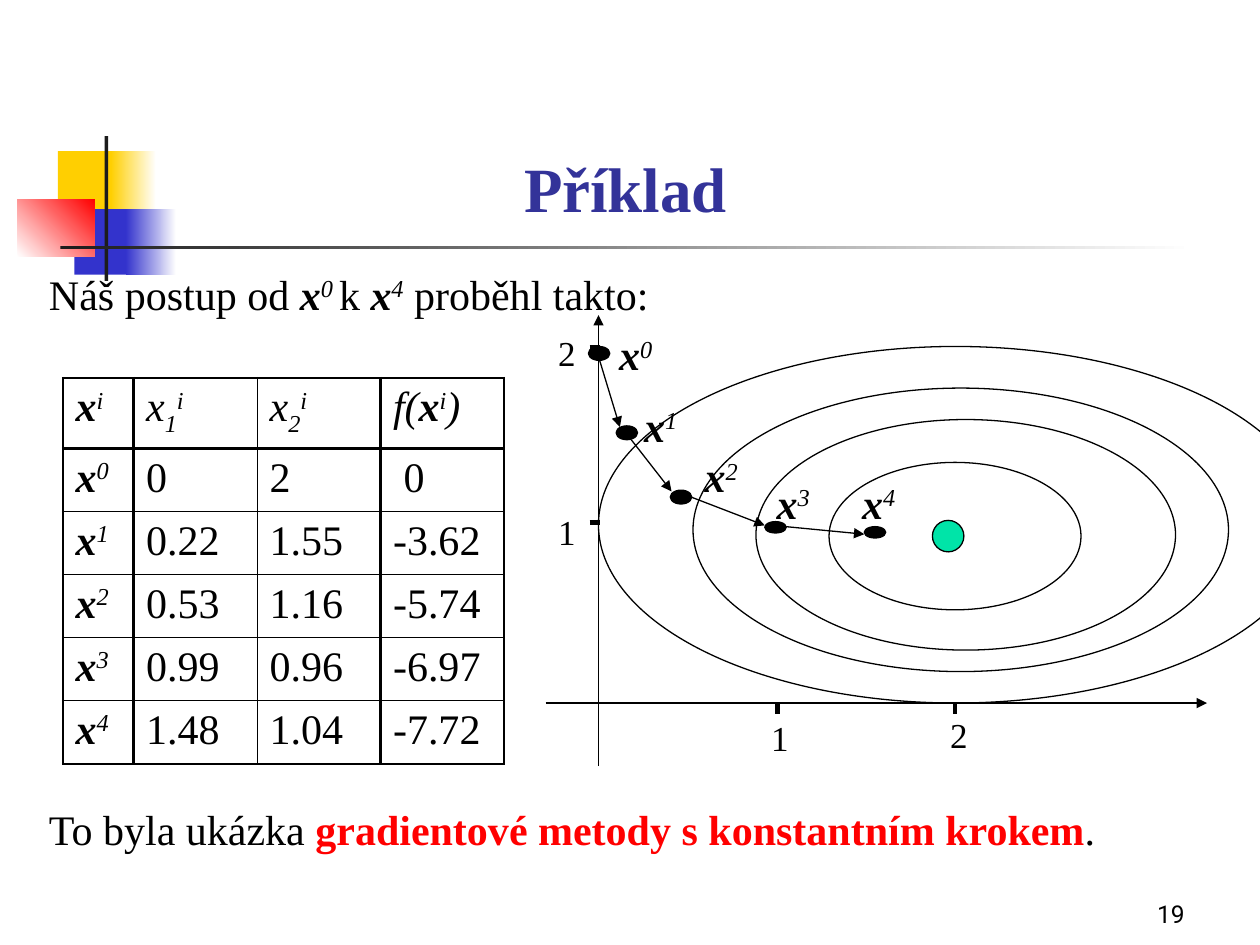
from dataclasses import dataclass

from lxml import etree
from pptx import Presentation
from pptx import util as u
from pptx.dml.color import RGBColor
from pptx.enum import shapes, text
from pptx.oxml import ns


@dataclass(frozen=True)
class Theme:
    """Colours, fonts, type sizes and line widths."""
    ink: str = "000000"
    title: str = "333399"
    accent: str = "FF0000"
    optimum: str = "00E4A8"
    yellow: str = "FFCF01"
    blue: str = "3333CC"
    bar: str = "1C1C1C"
    white: str = "FFFFFF"
    serif: str = "Times New Roman"
    sans: str = "Roboto"
    title_size: int = 36
    body_size: int = 24
    tick_size: int = 20
    number_size: int = 14
    thin: float = 0.45
    hairline: float = 0.75
    rule: float = 1.47
    tick: float = 2.75


@dataclass(frozen=True)
class Region:
    """A box on the page, in inches."""
    left: float
    top: float
    width: float
    height: float

    def inner(self, x, y, width, height):
        """Return a box placed relative to this one."""
        return Region(self.left + x, self.top + y, width, height)

    def lengths(self):
        """Return left, top, width and height as lengths."""
        return [u.Inches(v) for v in (self.left, self.top, self.width, self.height)]


THEME = Theme()
ARROW = "triangle"
LEFT, CENTER, RIGHT = text.PP_ALIGN.LEFT, text.PP_ALIGN.CENTER, text.PP_ALIGN.RIGHT


def color(value):
    """Turn a hex string into a colour."""
    return RGBColor.from_string(value)


def write(para, spans, size, ink=THEME.ink, font=THEME.serif):
    """Add (words, marks) spans; marks: b bold, i italic, ^ super, _ sub, ! accent."""
    for words, marks in spans:
        span = para.add_run()
        span.text = words
        span.font.size = u.Pt(size)
        span.font.name = font
        span.font.bold = "b" in marks
        span.font.italic = "i" in marks
        span.font.color.rgb = color(THEME.accent if "!" in marks else ink)
        if "^" in marks or "_" in marks:
            span.font._element.set("baseline", "30000" if "^" in marks else "-25000")


def point(index):
    """Return the spans of one iterate's name."""
    return [("x", "bi"), (str(index), "i^")]


def add_text(page, region, spans, size, align=LEFT, font=THEME.serif,
             anchor=text.MSO_ANCHOR.TOP):
    """Place one paragraph of text."""
    frame = page.shapes.add_textbox(*region.lengths()).text_frame
    frame.word_wrap = True
    frame.vertical_anchor = anchor
    para = frame.paragraphs[0]
    para.alignment = align
    write(para, spans, size, font=font)


def add_rect(page, region, start, end=None, angle=0):
    """Place a borderless rectangle, plain or with a gradient."""
    rect = page.shapes.add_shape(shapes.MSO_SHAPE.RECTANGLE, *region.lengths())
    rect.shadow.inherit = False
    rect.line.fill.background()
    if end is None:
        rect.fill.solid()
        rect.fill.fore_color.rgb = color(start)
        return
    rect.fill.gradient()
    rect.fill.gradient_angle = angle
    for stop, value, position in zip(rect.fill.gradient_stops, (start, end), (0, 1)):
        stop.color.rgb = color(value)
        stop.position = position


def add_oval(page, region, fill=None):
    """Place an outlined ellipse, filled if a colour is given."""
    oval = page.shapes.add_shape(shapes.MSO_SHAPE.OVAL, *region.lengths())
    oval.shadow.inherit = False
    oval.line.color.rgb = color(THEME.ink)
    oval.line.width = u.Pt(THEME.hairline)
    if fill:
        oval.fill.solid()
        oval.fill.fore_color.rgb = color(fill)
    else:
        oval.fill.background()


def add_line(page, region, ends, width=THEME.hairline, tail=None):
    """Draw a straight line between two points of a region."""
    x1, y1, x2, y2 = ends
    line = page.shapes.add_connector(
        shapes.MSO_CONNECTOR.STRAIGHT,
        u.Inches(region.left + x1), u.Inches(region.top + y1),
        u.Inches(region.left + x2), u.Inches(region.top + y2))
    line.line.color.rgb = color(THEME.ink)
    line.line.width = u.Pt(width)
    if tail:
        etree.SubElement(line.line._get_or_add_ln(), ns.qn("a:tailEnd"), type=tail)
    etree.SubElement(line._element.spPr, ns.qn("a:effectLst"))


def draw_ornament(page, region):
    """Draw the coloured squares and the two bars by the title."""
    add_rect(page, region.inner(0.32, 0.12, 0.48, 0.52), THEME.yellow)
    add_rect(page, region.inner(0.74, 0.12, 0.36, 0.52), THEME.yellow, THEME.white)
    add_rect(page, region.inner(0.45, 0.58, 0.46, 0.52), THEME.blue)
    add_rect(page, region.inner(0.86, 0.58, 0.4, 0.52), THEME.blue, THEME.white)
    add_rect(page, region.inner(0, 0.5, 0.61, 0.46), THEME.white, THEME.accent, 45)
    add_rect(page, region.inner(0.69, 0, 0.03, 1.15), THEME.bar)
    add_rect(page, region.inner(0.34, 0.87, 9, 0.03), THEME.bar, THEME.white)


def draw_title(page, region, words):
    """Move, fill and format the title placeholder."""
    title = page.shapes.title
    title.left, title.top, title.width, title.height = region.lengths()
    title.text_frame.vertical_anchor = text.MSO_ANCHOR.BOTTOM
    para = title.text_frame.paragraphs[0]
    para.alignment = CENTER
    write(para, [(words, "b")], THEME.title_size, THEME.title)


def set_borders(cell, widths):
    """Set the left, right, top and bottom border widths of a cell."""
    props = cell._tc.get_or_add_tcPr()
    for place, (side, width) in enumerate(zip("LRTB", widths)):
        edge = etree.Element(ns.qn(f"a:ln{side}"), w=str(u.Pt(width)))
        fill = etree.SubElement(edge, ns.qn("a:solidFill"))
        etree.SubElement(fill, ns.qn("a:srgbClr"), val=THEME.ink)
        props.insert(place, edge)


def draw_table(page, region):
    """Draw the table of iterates and function values."""
    header = [[("x", "bi"), ("i", "i^")],
              *[[("x", "i"), (n, "i_"), ("i", "i^")] for n in "12"],
              [("f(", "i"), ("x", "bi"), ("i", "i^"), (")", "i")]]
    values = [("0", "2", " 0"), ("0.22", "1.55", "-3.62"), ("0.53", "1.16", "-5.74"),
              ("0.99", "0.96", "-6.97"), ("1.48", "1.04", "-7.72")]
    rows = [header] + [[point(i)] + [[(v, "")] for v in row]
                       for i, row in enumerate(values)]
    table = page.shapes.add_table(len(rows), len(header), *region.lengths()).table
    table.first_row = table.horz_banding = False
    for column, width in zip(table.columns, (0.56, 0.98, 0.98, 0.98)):
        column.width = u.Inches(width)
    across = [THEME.rule] * 2 + [THEME.thin] * 4 + [THEME.rule]
    down = [THEME.rule] * 2 + [THEME.thin] + [THEME.rule] * 2
    for r, row in enumerate(rows):
        table.rows[r].height = u.Inches(0.5 if r else 0.56)
        for c, spans in enumerate(row):
            cell = table.cell(r, c)
            cell.fill.background()
            set_borders(cell, (down[c], down[c + 1], across[r], across[r + 1]))
            write(cell.text_frame.paragraphs[0], spans, THEME.body_size)


def draw_plot(page, region):
    """Draw the axes, descent steps, iterates and contour lines."""
    add_line(page, region, (0.5, 3.58, 0.5, 0), tail=ARROW)
    add_line(page, region, (0.08, 3.08, 5.33, 3.08), tail=ARROW)
    for x in (1.92, 3.33):
        add_line(page, region, (x, 3.08, x, 3.17), THEME.tick)
    for y in (1.65, 0.26):
        add_line(page, region, (0.43, y, 0.51, y), THEME.tick)
    for words, x, y in (("1", 1.69, 3.14), ("1", 0, 1.5), ("2", 0, 0.08), ("2", 3.11, 3.11)):
        add_text(page, region.inner(x, y, 0.5, 0.44), [(words, "")], THEME.tick_size, CENTER)
    for x, y, height in ((0.42, 0.25, 0.11), (0.64, 0.88, 0.11), (1.07, 1.39, 0.11),
                         (1.82, 1.64, 0.09), (2.61, 1.68, 0.09)):
        add_oval(page, region.inner(x, y, 0.17, height), THEME.ink)
    add_oval(page, region.inner(3.15, 1.63, 0.25, 0.25), THEME.optimum)
    for ends in ((0.5, 0.33, 0.67, 0.89), (0.76, 0.99, 1.08, 1.4),
                 (1.17, 1.42, 1.82, 1.67), (1.99, 1.68, 2.61, 1.74)):
        add_line(page, region, ends, tail=ARROW)
    names = ((0.38, 0.06), (0.58, 0.63), (1.06, 1.03), (1.63, 1.24), (2.31, 1.24))
    for index, (x, y) in enumerate(names):
        add_text(page, region.inner(x, y, 0.83, 0.5), point(index), THEME.body_size, CENTER)
    for contour in ((0.5, 0.25, 5.67, 2.83), (1.25, 0.58, 4.25, 2.25),
                    (1.75, 0.83, 3.33, 1.83), (2.33, 1.17, 2, 1.17)):
        add_oval(page, region.inner(*contour))


def main():
    """Build the slide and save the deck."""
    deck = Presentation()
    deck.slide_width, deck.slide_height = u.Inches(10), u.Inches(7.5)
    page = deck.slides.add_slide(deck.slide_layouts[5])
    draw_ornament(page, Region(0.14, 1.08, 9.34, 1.15))
    draw_title(page, Region(0.17, 0.75, 9.59, 1.09), "Příklad")
    add_text(page, Region(7.42, 6.92, 2.08, 0.5), [("19", "")], THEME.number_size,
             RIGHT, THEME.sans, text.MSO_ANCHOR.BOTTOM)
    closing = [("To byla ukázka ", ""),
               ("gradientové metody s konstantním krokem", "b!"), (".", "")]
    opening = [("Náš postup od ", ""), ("x", "bi"), ("0 ", "i^"), ("k ", ""),
               *point(4), (" proběhl takto:", "")]
    add_text(page, Region(0.29, 6.33, 8.92, 0.5), closing, THEME.body_size)
    add_text(page, Region(0.29, 2.08, 8.92, 0.5), opening, THEME.body_size)
    draw_table(page, Region(0.5, 3, 3.5, 3.06))
    draw_plot(page, Region(4.25, 2.5, 6.17, 3.58))
    deck.save("out.pptx")


if __name__ == "__main__":
    main()
